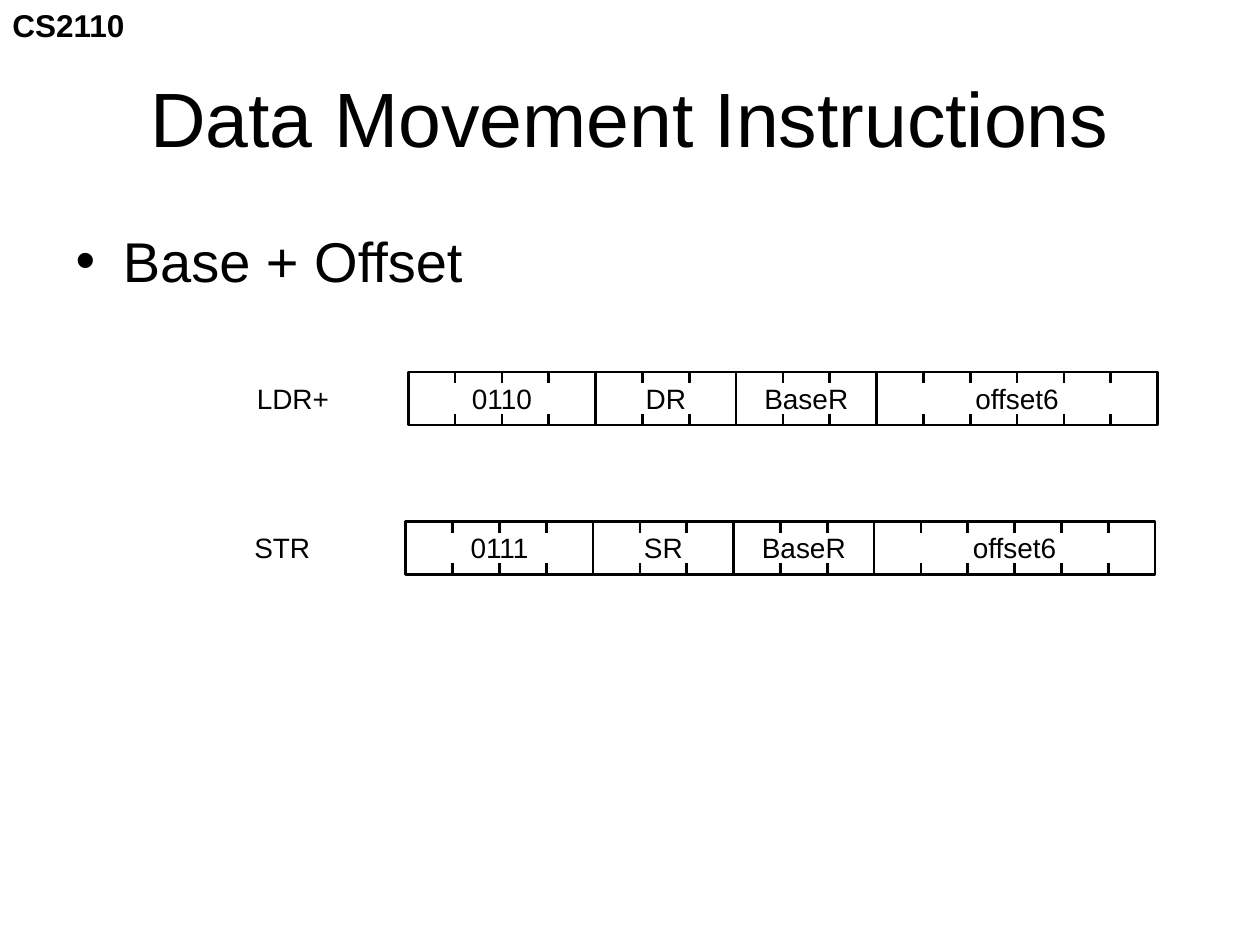
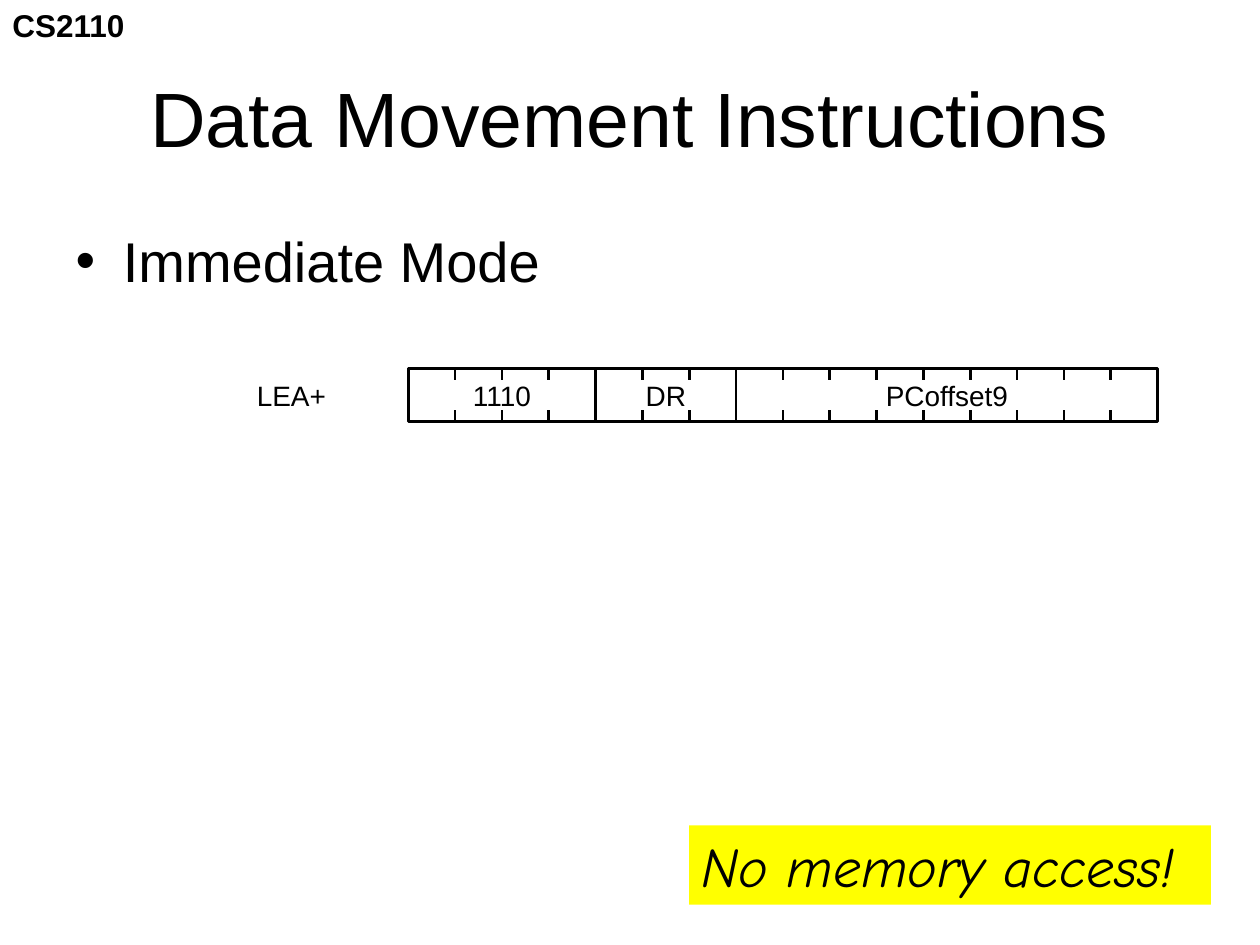
import pptx
import pptx.dml.color
import pptx.enum.shapes
import pptx.enum.text
import pptx.oxml
import pptx.util

Pt = pptx.util.Pt
Align = pptx.enum.text.PP_ALIGN
Anchor = pptx.enum.text.MSO_ANCHOR
Fit = pptx.enum.text.MSO_AUTO_SIZE
COLORS = {"ink": "000000", "note": "FFFF00", "paper": "FFFFFF"}
FONT = "Arial"
NOTE_FONT = "Comic Neue"
LINE_WIDTH = 1.5
BIT_WIDTH = 26.76
WORD_HEIGHT = 30.24
TICK = 6.4
LABEL_HEIGHT = 26.64
LABEL_DROP = 1.8
NAME_OFFSET = 93.6


def color(name):
    return pptx.dml.color.RGBColor.from_string(COLORS[name])


def write(frame, text, size=16, font=FONT, align=None, bold=None, italic=None):
    para = frame.paragraphs[0]
    para.alignment = align
    span = para.add_run()
    span.text = text
    span.font.size = Pt(size)
    span.font.name = font
    span.font.bold = bold
    span.font.italic = italic
    span.font.color.rgb = color("ink")


def place(shape, left, top, width, height):
    shape.left, shape.top = Pt(left), Pt(top)
    shape.width, shape.height = Pt(width), Pt(height)


class InstructionDeck:
    def __init__(self):
        self.deck = pptx.Presentation()
        self.deck.slide_width = Pt(720)
        self.deck.slide_height = Pt(540)
        self.page = None

    def add_page(self, title, topic):
        self.page = self.deck.slides.add_slide(self.deck.slide_layouts[1])
        self.page.background.fill.solid()
        self.page.background.fill.fore_color.rgb = color("paper")
        heading, body = self.page.placeholders
        place(heading, 36, 21.6, 648, 90)
        heading.text_frame.vertical_anchor = Anchor.MIDDLE
        write(heading.text_frame, title, size=44, align=Align.CENTER)
        place(body, 36, 126, 648, 401.76)
        write(body.text_frame, topic, size=32)
        self.label(self.page.shapes, "CS2110", 0, 0, 79.2, 28.8, size=18, bold=True)

    def label(self, shapes, text, left, top, width, height=LABEL_HEIGHT, **style):
        box = shapes.add_textbox(Pt(left), Pt(top), Pt(width), Pt(height))
        box.text_frame.word_wrap = False
        box.text_frame.auto_size = Fit.SHAPE_TO_FIT_TEXT
        write(box.text_frame, text, **style)

    def rectangle(self, shapes, left, top, width, height):
        box = shapes.add_shape(
            pptx.enum.shapes.MSO_SHAPE.RECTANGLE,
            Pt(left), Pt(top), Pt(width), Pt(height))
        box.shadow.inherit = False
        return box

    def tick(self, shapes, x, top, bottom):
        line = shapes.add_connector(
            pptx.enum.shapes.MSO_CONNECTOR.STRAIGHT,
            Pt(x), Pt(top), Pt(x), Pt(bottom))
        line.line.color.rgb = color("ink")
        line.line.width = Pt(LINE_WIDTH)
        properties = line._element.spPr
        properties.append(properties.makeelement(
            pptx.oxml.ns.qn("a:effectLst"), {}))
        return line

    def field(self, shapes, text, bits, label_width, left, top):
        width = bits * BIT_WIDTH
        bottom = top + WORD_HEIGHT
        box = self.rectangle(shapes, left, top, width, WORD_HEIGHT)
        box.fill.background()
        box.line.color.rgb = color("ink")
        box.line.width = Pt(LINE_WIDTH)
        for bit in range(1, bits):
            x = left + bit * BIT_WIDTH
            upper = self.tick(shapes, x, top, top + TICK)
            lower = self.tick(shapes, x, bottom - TICK, bottom)
            if 2 * bit == bits:
                upper.begin_connect(box, 0)
                lower.end_connect(box, 2)
        self.label(shapes, text, left + (width - label_width) / 2,
                   top + LABEL_DROP, label_width, align=Align.CENTER)
        return left + width

    def instruction(self, name, name_width, left, top, fields):
        shapes = self.page.shapes.add_group_shape().shapes
        self.label(shapes, name, left - NAME_OFFSET, top + LABEL_DROP, name_width)
        for text, bits, label_width in fields:
            left = self.field(shapes, text, bits, label_width, left, top)

    def note(self, text, left, top, width, height):
        box = self.rectangle(self.page.shapes, left, top, width, height)
        box.fill.solid()
        box.fill.fore_color.rgb = color("note")
        box.line.fill.background()
        box.text_frame.vertical_anchor = Anchor.TOP
        box.text_frame.word_wrap = True
        write(box.text_frame, text, size=32, font=NOTE_FONT,
              align=Align.LEFT, italic=True)


def main():
    title = "Data Movement Instructions"
    base_offset = [("BaseR", 3, 62.64), ("offset6", 6, 62.64)]
    target = ("DR", 3, 37.44)
    slides = InstructionDeck()

    slides.add_page(title, "Base + Offset")
    slides.instruction("LDR+", 55.44, 233.3, 212.6,
                       [("0110", 4, 49.68), target] + base_offset)
    slides.instruction("STR", 46.08, 231.9, 298,
                       [("0111", 4, 49.68), ("SR", 3, 36.72)] + base_offset)

    slides.add_page(title, "Immediate Mode")
    slides.instruction("LEA+", 54, 233.3, 210.7,
                       [("1110", 4, 49.68), target, ("PCoffset9", 9, 84.96)])
    slides.note("No memory access!", 393.84, 471.6, 298.08, 45.36)

    slides.deck.save("out.pptx")


if __name__ == "__main__":
    main()
